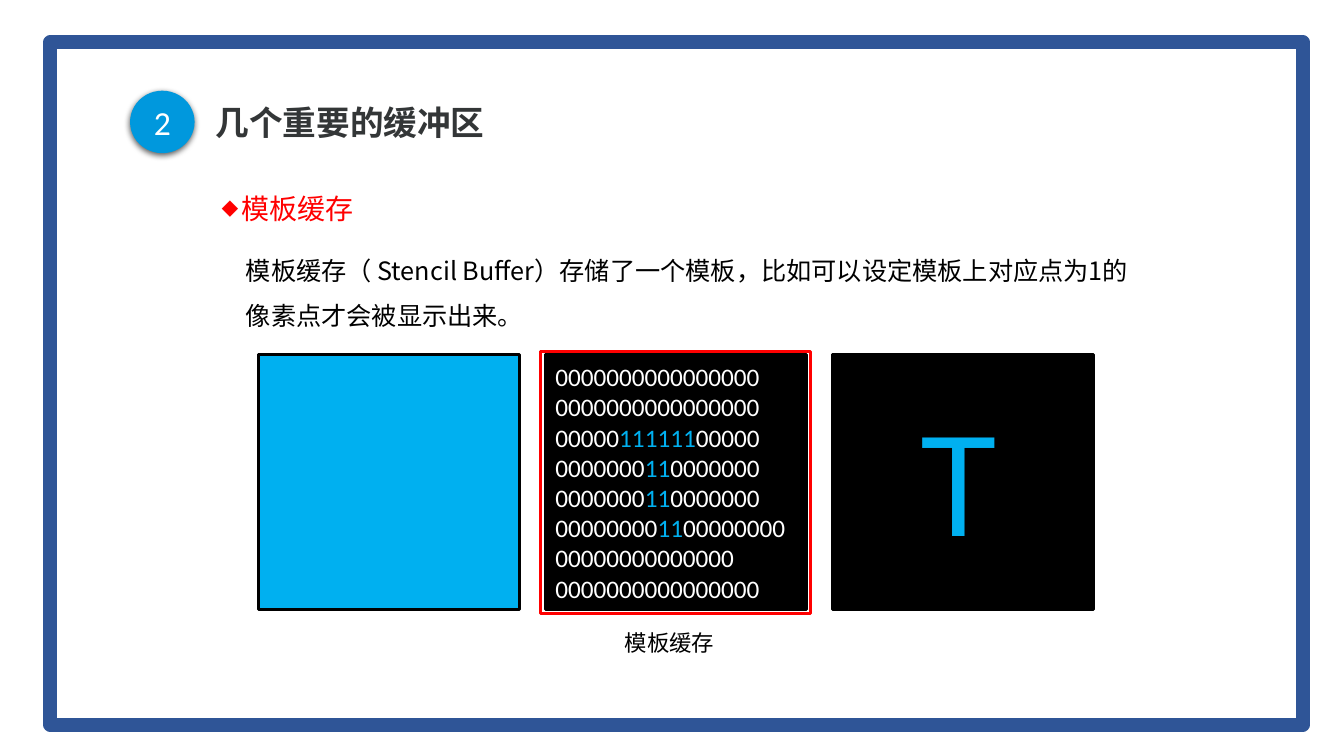
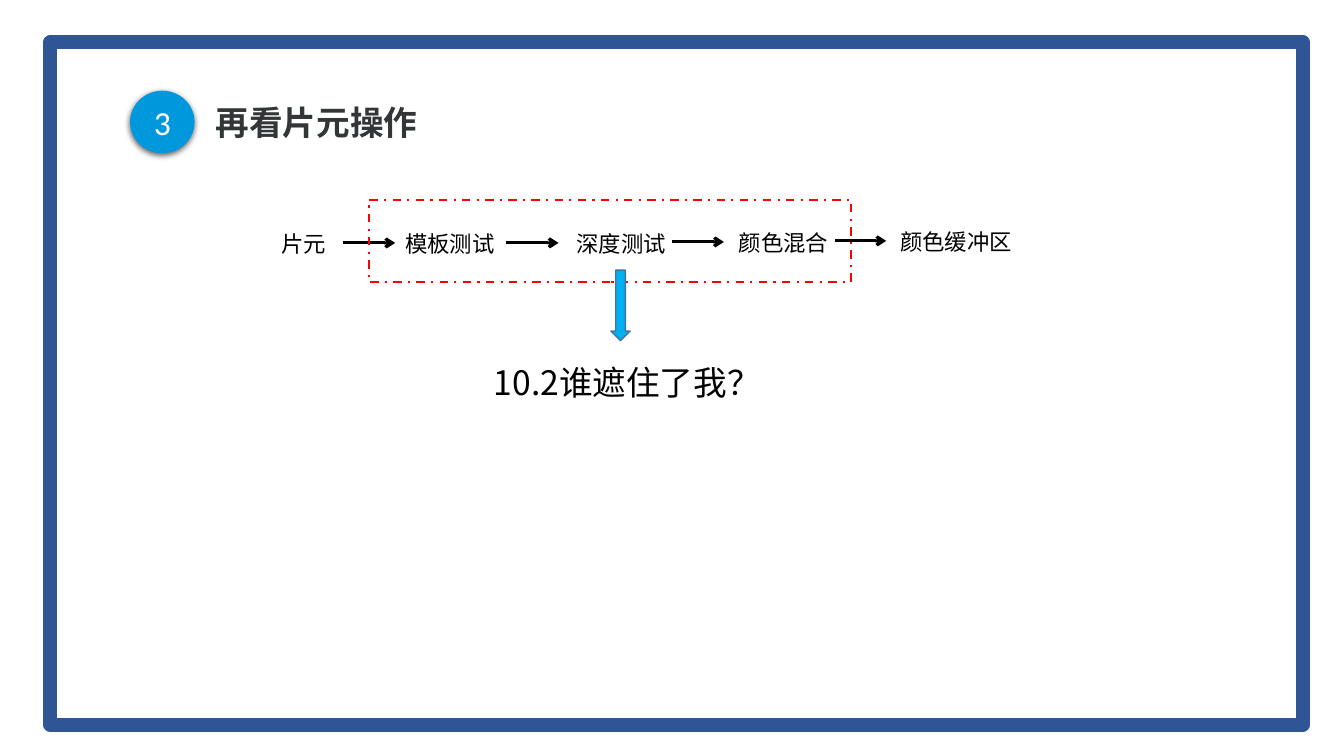
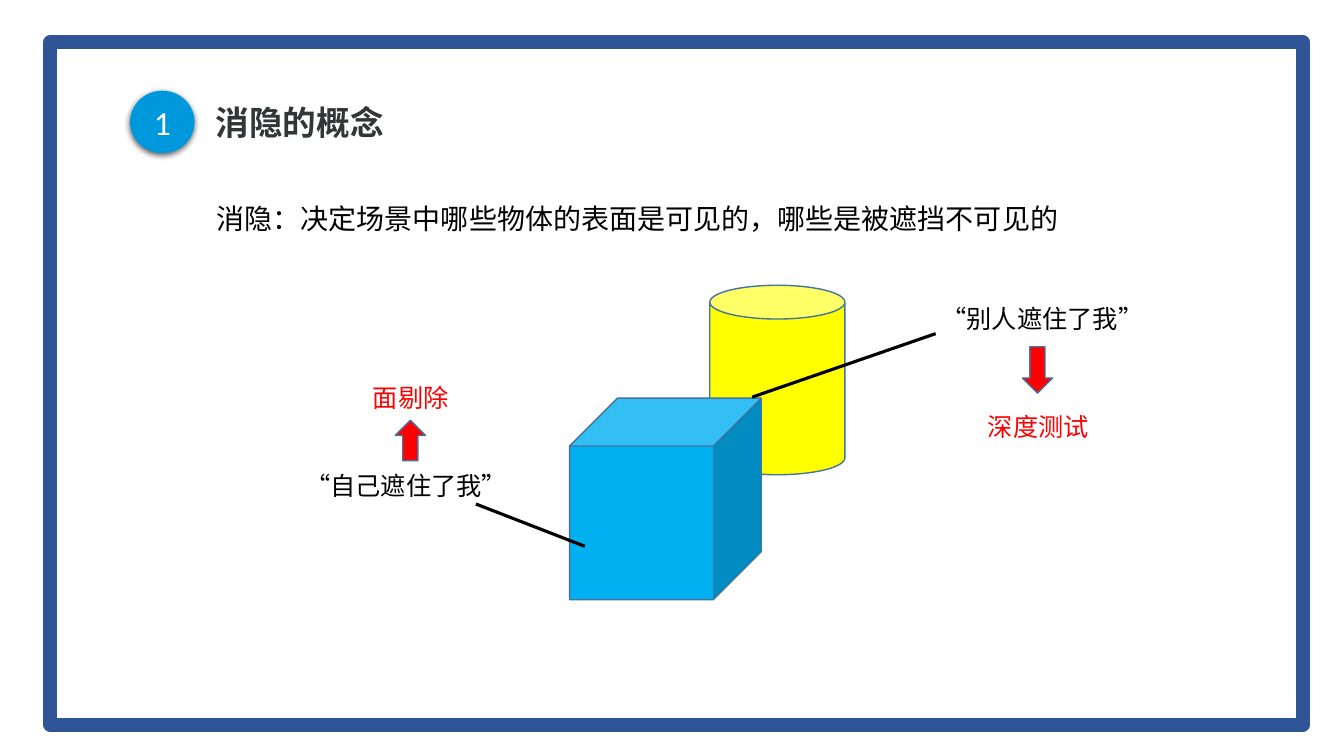
from itertools import groupby

from lxml import etree
from pptx import Presentation
from pptx import util as u
from pptx.dml.color import RGBColor
from pptx.enum import dml, shapes, text
from pptx.oxml.ns import qn

PX = 9144  # 100 px to the inch
CJK, LATIN = "Noto Sans CJK SC", "Calibri"
BLACK, WHITE, RED, SKY, YELLOW = "000000", "FFFFFF", "FF0000", "00B0F0", "FFFF00"
FRAME, BADGE, TITLE, EDGE = "2F5597", "0098DD", "333637", "43739E"
MIDDLE = text.MSO_ANCHOR.MIDDLE
KIND = shapes.MSO_SHAPE

STENCIL = {
    "number": "2",
    "title": "几个重要的缓冲区",
    "heading": "模板缓存",
    "body": "模板缓存（ Stencil Buffer）存储了一个模板，比如可以设定模板上对应点为1的像素点才会被显示出来。",
    "caption": "模板缓存",
    "panels": [SKY, BLACK, BLACK],
    "bits": [
        "0000000000000000",
        "0000000000000000",
        "0000011111100000",
        "0000000110000000",
        "0000000110000000",
        "00000000110000000000000000000000",
        "0000000000000000",
    ],
    "letter": "T",
}
FRAGMENT = {
    "number": "3",
    "title": "再看片元操作",
    "steps": [  # label, left, top, width
        ("片元", 269, 223, 65),
        ("模板测试", 392, 223, 110),
        ("深度测试", 562, 223, 110),
        ("颜色混合", 723, 222, 110),
        ("颜色缓冲区", 883, 221, 166),
    ],
    "arrows": [  # left, y, step joined at the start, step joined at the end
        (340, 241, None, 1),
        (503, 241, 1, None),
        (667, 240, None, None),
        (828, 239, None, None),
    ],
    "question": "10.2谁遮住了我？",
}
HIDING = {
    "number": "1",
    "title": "消隐的概念",
    "body": "消隐：决定场景中哪些物体的表面是可见的，哪些是被遮挡不可见的",
    "solids": [
        (KIND.CAN, (704, 283, 134, 188), YELLOW),
        (KIND.CUBE, (565, 395, 190, 200), SKY),
        (KIND.UP_ARROW, (392, 417, 30, 40), RED),
        (KIND.DOWN_ARROW, (1014, 344, 30, 46), RED),
    ],
    "pointers": [(928, 331, 746, 394), (580, 542, 472, 500)],
    "labels": [
        ("“别人遮住了我”", (924, 296, 222, 40), BLACK),
        ("“自己遮住了我”", (293, 462, 222, 40), BLACK),
        ("面剔除", (360, 374, 96, 40), RED),
        ("深度测试", (970, 403, 121, 40), RED),
    ],
}


def px(*lengths):
    return [u.Emu(n * PX) for n in lengths]


def rgb(code):
    return RGBColor.from_string(code)


def add_xml(parent, tag, **attributes):
    return etree.SubElement(parent, qn(tag), attributes)


def write(shape, paragraphs, size, color=BLACK, face=CJK, bold=False, bullet=None, **layout):
    """Fill a shape with paragraphs, each a string or a list of (text, colour)."""
    frame = shape.text_frame
    for i, content in enumerate(paragraphs):
        paragraph = frame.paragraphs[0] if i == 0 else frame.add_paragraph()
        if bullet:
            props = paragraph._p.get_or_add_pPr()
            props.set("marL", str(25 * PX))
            props.set("indent", str(-20 * PX))
            add_xml(props, "a:buSzPct", val="60000")
            add_xml(props, "a:buFont", typeface=face)
            add_xml(props, "a:buChar", char=bullet)
        for name, value in layout.items():
            setattr(paragraph, name, value)
        for words, tint in [(content, color)] if isinstance(content, str) else content:
            run = paragraph.add_run()
            run.text = words
            for name, value in {"size": u.Pt(size), "bold": bold, "name": face}.items():
                setattr(run.font, name, value)
            run.font.color.rgb = rgb(tint)
            add_xml(run._r.get_or_add_rPr(), "a:ea", typeface=face)


def add_text(slide, box, paragraphs, size, wrap=True, grow=False, anchor=text.MSO_ANCHOR.TOP, **style):
    label = slide.shapes.add_textbox(*px(*box))
    fit = text.MSO_AUTO_SIZE
    options = {
        "word_wrap": wrap,
        "auto_size": fit.SHAPE_TO_FIT_TEXT if grow else fit.NONE,
        "vertical_anchor": anchor,
    }
    for name, value in options.items():
        setattr(label.text_frame, name, value)
    write(label, paragraphs, size, **style)
    return label


def add_label(slide, box, words, size, **style):
    """Add one unwrapped line of text."""
    return add_text(slide, box, [words], size, wrap=False, grow=True, **style)


def add_figure(slide, kind, box, fill=None, line=None, width=1, dash=None):
    figure = slide.shapes.add_shape(kind, *px(*box))
    figure.shadow.inherit = False
    if fill:
        figure.fill.solid()
        figure.fill.fore_color.rgb = rgb(fill)
    else:
        figure.fill.background()
    if line:
        figure.line.color.rgb = rgb(line)
        figure.line.width = u.Pt(width)
        if dash:
            figure.line.dash_style = dash
    else:
        figure.line.fill.background()
    return figure


def add_line(slide, ends, arrow=False):
    line = slide.shapes.add_connector(shapes.MSO_CONNECTOR.STRAIGHT, *px(*ends))
    line.line.color.rgb = rgb(BLACK)
    line.line.width = u.Pt(2.25)
    if arrow:
        add_xml(line.line._get_or_add_ln(), "a:tailEnd", type="arrow")
    add_xml(line._element.spPr, "a:effectLst")
    return line


def start_slide(deck, content):
    """Add a slide with the frame, title and numbered badge that all share."""
    slide = deck.slides.add_slide(deck.slide_layouts[6])
    add_figure(slide, KIND.RECTANGLE, (50, 42, 1242, 677), line=FRAME, width=10)
    add_text(slide, (204, 93, 835, 61), [content["title"]], 24, anchor=MIDDLE,
             color=TITLE, bold=True, line_spacing=0.9)
    badge = add_figure(slide, KIND.OVAL, (129, 90, 64, 62), fill=BADGE)
    badge.text_frame.vertical_anchor = MIDDLE
    write(badge, [content["number"]], 24, color=WHITE, face=LATIN,
          alignment=text.PP_ALIGN.CENTER)
    effects = badge._element.spPr.find(qn("a:effectLst"))
    shadow = add_xml(effects, "a:outerShdw", blurRad=str(u.Pt(4.5)), dist=str(u.Pt(1.5)),
                     dir="5400000", algn="t", rotWithShape="0")
    add_xml(add_xml(shadow, "a:srgbClr", val=BLACK), "a:alpha", val="63000")
    return slide


def build_stencil(deck, content):
    slide = start_slide(deck, content)
    add_text(slide, (205, 168, 1043, 69), [content["heading"]], 20, color=RED,
             bullet="◆", line_spacing=1.5)
    add_text(slide, (234, 233, 897, 96), [content["body"]], 18, grow=True, line_spacing=1.5)
    add_label(slide, (610, 619, 110, 37), content["caption"], 16)
    boxes = [(256 + 285 * i, 352, 259, 253) for i in range(len(content["panels"]))]
    for box, fill in zip(boxes, content["panels"]):
        add_figure(slide, KIND.RECTANGLE, box, fill, BLACK, 2.25)
    rows = [[("".join(bits), SKY if bit == "1" else WHITE) for bit, bits in groupby(row)]
            for row in content["bits"]]
    add_text(slide, boxes[1], rows, 18, anchor=MIDDLE, face=LATIN,
             alignment=text.PP_ALIGN.JUSTIFY)
    add_label(slide, (901, 394, 97, 172), content["letter"], 96, color=SKY)
    add_figure(slide, KIND.RECTANGLE, (536, 349, 268, 260), line=RED, width=2.25)


def build_fragment(deck, content):
    slide = start_slide(deck, content)
    steps = [add_label(slide, (left, top, width, 36), label, 16)
             for label, left, top, width in content["steps"]]
    for left, y, start, end in content["arrows"]:
        arrow = add_line(slide, (left, y, left + 51, y), arrow=True)
        if start is not None:
            arrow.begin_connect(steps[start], 3)
        if end is not None:
            arrow.end_connect(steps[end], 1)
    add_figure(slide, KIND.RECTANGLE, (366, 198, 478, 82), line=RED, width=1.5,
               dash=dml.MSO_LINE.DASH_DOT)
    add_label(slide, (480, 354, 290, 50), content["question"], 24)
    add_figure(slide, KIND.DOWN_ARROW, (606, 268, 19, 70), SKY, EDGE)


def build_hiding(deck, content):
    slide = start_slide(deck, content)
    add_text(slide, (205, 178, 1043, 512), [content["body"]], 20, line_spacing=1.5)
    for kind, box, fill in content["solids"]:
        add_figure(slide, kind, box, fill, EDGE)
    for ends in content["pointers"]:
        add_line(slide, ends)
    for words, box, color in content["labels"]:
        add_label(slide, box, words, 18, color=color)


def main():
    deck = Presentation()
    deck.slide_width, deck.slide_height = px(1333, 750)
    build_stencil(deck, STENCIL)
    build_fragment(deck, FRAGMENT)
    build_hiding(deck, HIDING)
    deck.save("out.pptx")


if __name__ == "__main__":
    main()
